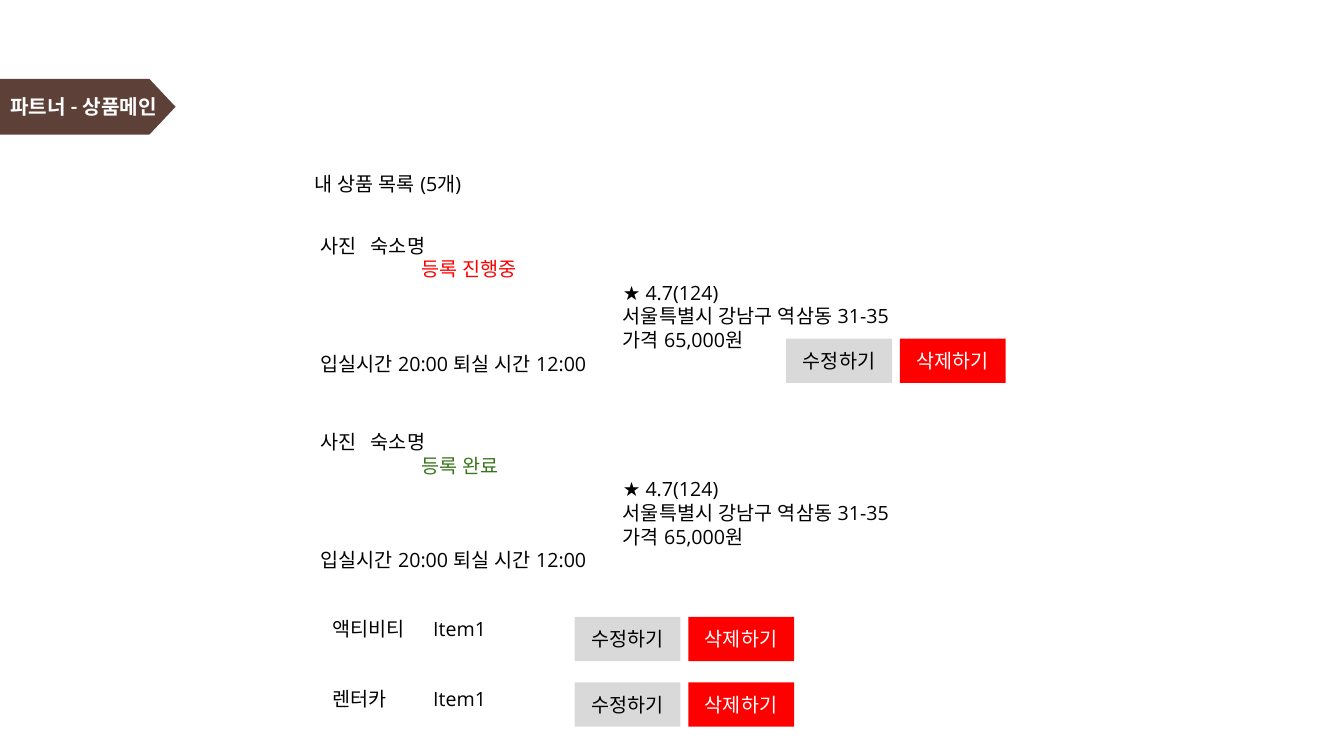
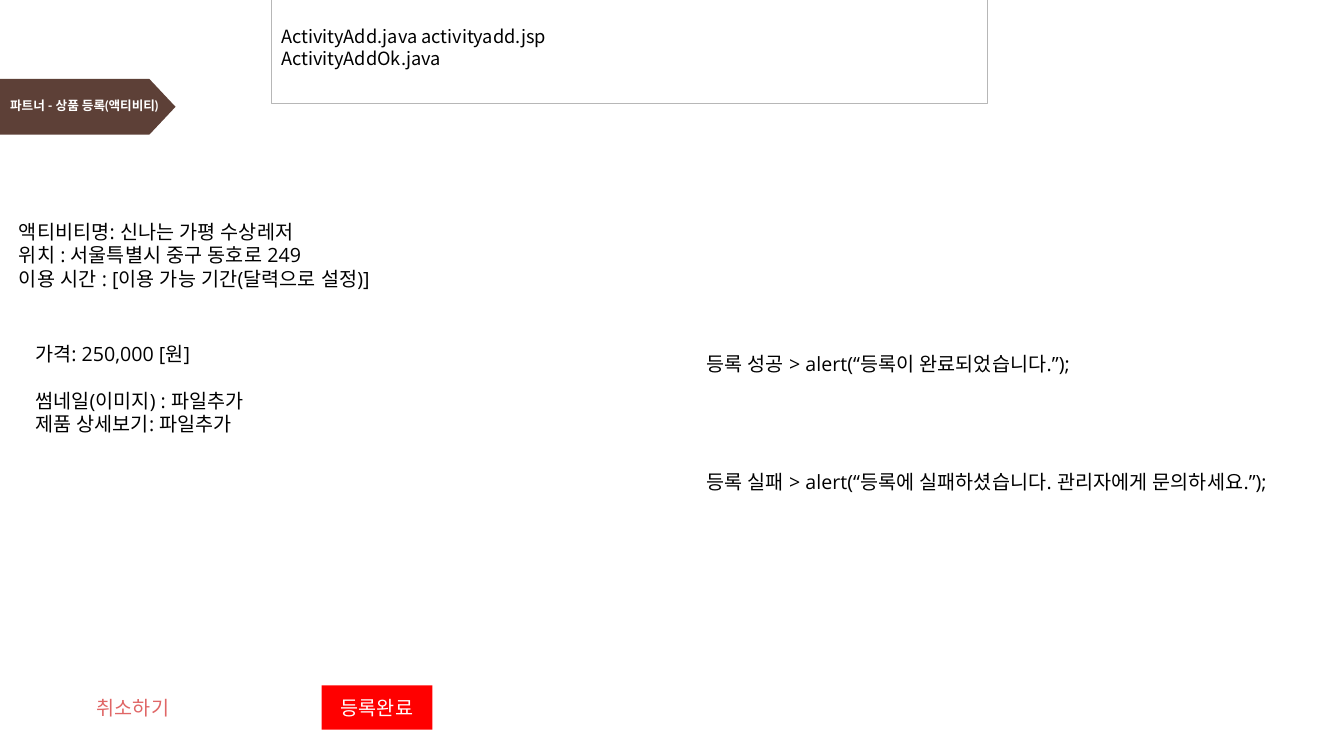
from lxml import etree
from pptx import Presentation
from pptx.dml.color import RGBColor
from pptx.enum.shapes import MSO_SHAPE
from pptx.enum.text import MSO_ANCHOR, MSO_AUTO_SIZE, PP_ALIGN
from pptx.oxml.ns import qn
from pptx.util import Pt

BROWN, BLACK, WHITE = "5D4037", "000000", "FFFFFF"
RED, GREEN, ROSE = "FF0000", "38761D", "E06666"
GREY, LINE_GREY = "D9D9D9", "B7B7B7"
TITLE_FONT, BODY_FONT, CODE_FONT = "Lato", "Open Sans", "Noto Sans CJK SC"
LEADING = 1.2
ROW = 14 * LEADING
INSET = 7.2
BUTTON_H = 31.7


def rgb(value):
    return RGBColor.from_string(value)


def box(*lengths):
    return [Pt(n) for n in lengths]


def write(tf, text, size=14, font=BODY_FONT, color=BLACK, bold=False,
          align=PP_ALIGN.LEFT, before=0, indent=0, tab=None):
    """Add one paragraph, filling the first one if it is still empty."""
    first = tf.paragraphs[0]
    p = tf.add_paragraph() if first.runs else first
    p.alignment = align
    p.line_spacing = Pt(size * LEADING)
    p.space_before = Pt(before)
    pPr = p._p.get_or_add_pPr()
    pPr.set("marL", str(Pt(indent)))
    pPr.set("indent", "0")
    if tab:
        tabs = etree.SubElement(pPr, qn("a:tabLst"))
        etree.SubElement(tabs, qn("a:tab"), pos=str(Pt(tab)), algn="l")
    r = p.add_run()
    r.text = text
    r.font.size, r.font.name, r.font.bold = Pt(size), font, bold
    r.font.color.rgb = rgb(color)
    etree.SubElement(r._r.get_or_add_rPr(), qn("a:ea"), typeface=font)


def set_frame(tf, anchor=MSO_ANCHOR.TOP, margin_y=INSET):
    tf.word_wrap = True
    tf.auto_size = MSO_AUTO_SIZE.NONE
    tf.vertical_anchor = anchor
    tf.margin_left = tf.margin_right = Pt(INSET)
    tf.margin_top = tf.margin_bottom = Pt(margin_y)
    return tf


def text_box(s, x, y, w, h):
    return set_frame(s.shapes.add_textbox(*box(x, y, w, h)).text_frame)


def add_panel(s, x, y, w, h, fill, line=None, shape=MSO_SHAPE.RECTANGLE):
    sp = s.shapes.add_shape(shape, *box(x, y, w, h))
    sp.shadow.inherit = False
    sp.fill.solid()
    sp.fill.fore_color.rgb = rgb(fill)
    if line:
        sp.line.color.rgb = rgb(line)
        sp.line.width = Pt(0.75)
    else:
        sp.line.fill.background()
    set_frame(sp.text_frame, MSO_ANCHOR.MIDDLE)
    return sp


def add_button(s, x, y, w, label, fill, color):
    sp = add_panel(s, x, y, w, BUTTON_H, fill)
    write(sp.text_frame, label, color=color, align=PP_ALIGN.CENTER)


def edit_buttons(s, x, y):
    add_button(s, x, y, 75.6, "수정하기", GREY, BLACK)
    add_button(s, x + 81.2, y, 75.6, "삭제하기", RED, WHITE)


def lodging_card(s, x, y, status, color):
    tf = text_box(s, x, y, 521, 115.2)
    write(tf, "사진\t숙소명", tab=216)
    write(tf, status, color=color, indent=72)
    for line in ("★ 4.7(124)", "서울특별시 강남구 역삼동 31-35", "가격 65,000원"):
        write(tf, line, indent=216)
    write(tf, "입실시간 20:00 퇴실 시간 12:00")


def add_band(s, layout):
    """Draw the title arrow and hand it to the layout, behind every slide."""
    band = add_panel(s, 0, 56.4, 125.4, 39.8, BROWN, shape=MSO_SHAPE.PENTAGON)
    band.adjustments[0] = 0.47
    layout.shapes.element.append(band.element)


def add_title(s, text, y, w, size):
    title = s.shapes.title
    title.left, title.top, title.width, title.height = box(0, y, w, 54)
    tf = set_frame(title.text_frame, margin_y=3.6)
    write(tf, text, size=size, font=TITLE_FONT, color=WHITE, bold=True)


def product_list(s):
    add_title(s, "파트너 - 상품메인", 64, 175.7, 14.4)
    lodging_card(s, 221.8, 159.8, "등록 진행중", RED)
    edit_buttons(s, 561.6, 241.9)
    write(text_box(s, 217.4, 115.9, 521, BUTTON_H), "내 상품 목록 (5개)")
    lodging_card(s, 221.8, 300.2, "등록 완료", GREEN)
    tf = text_box(s, 230.4, 433.4, 528.5, 99.4)
    write(tf, "액티비티\tItem1", tab=144)
    write(tf, "렌터카\tItem1", tab=144, before=2 * ROW)
    for y in (440.6, 487.4):
        edit_buttons(s, 410.4, y)


def activity_form(s):
    add_title(s, "파트너 - 상품 등록(액티비티)", 66.2, 702, 9)
    tf = text_box(s, 6.5, 149.8, 432, 65.5)
    for line in ("액티비티명: 신나는 가평 수상레저", "위치 : 서울특별시 중구 동호로 249",
                 "이용 시간 : [이용 가능 기간(달력으로 설정)]"):
        write(tf, line)
    tf = text_box(s, 18, 236.9, 383.8, 82.1)
    write(tf, "가격: 250,000 [원]")
    write(tf, "썸네일(이미지) : 파일추가", before=ROW)
    write(tf, "제품 상세보기: 파일추가")
    tf = text_box(s, 497.5, 244.1, 462.2, 116.6)
    write(tf, "등록 성공 > alert(“등록이 완료되었습니다.”);")
    write(tf, "등록 실패 > alert(“등록에 실패하셨습니다. 관리자에게 문의하세요.”);",
          before=4 * ROW)
    add_button(s, 55.4, 489.6, 79.2, "취소하기", WHITE, ROSE)
    add_button(s, 229.7, 489.6, 79.2, "등록완료", RED, WHITE)
    files = add_panel(s, 193.7, -7.2, 511.9, 81.4, WHITE, LINE_GREY)
    for line in ("ActivityAdd.java activityadd.jsp", "ActivityAddOk.java"):
        write(files.text_frame, line, size=13, font=CODE_FONT)


def main():
    prs = Presentation()
    prs.slide_width, prs.slide_height = box(960, 540)
    layout = prs.slide_layouts[5]
    for build in (product_list, activity_form):
        s = prs.slides.add_slide(layout)
        if build is product_list:
            add_band(s, layout)
        build(s)
    prs.save("out.pptx")


if __name__ == "__main__":
    main()
